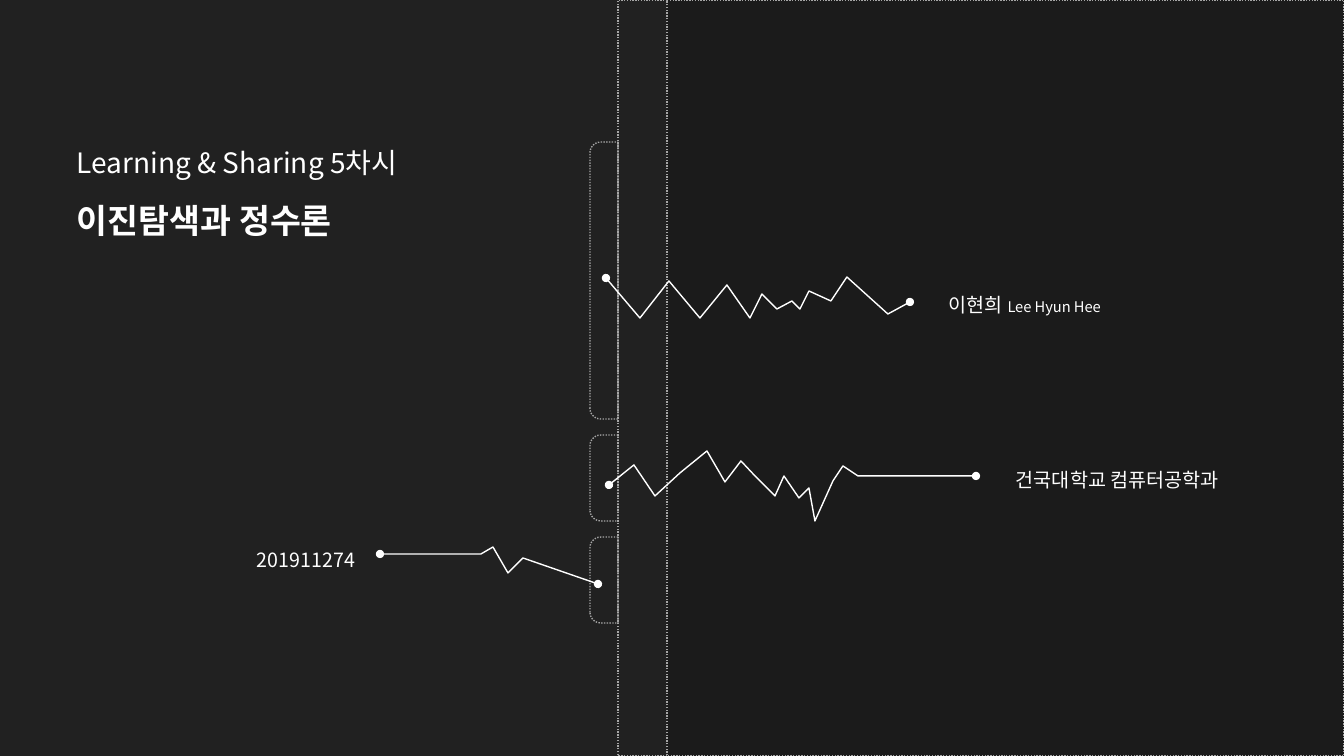
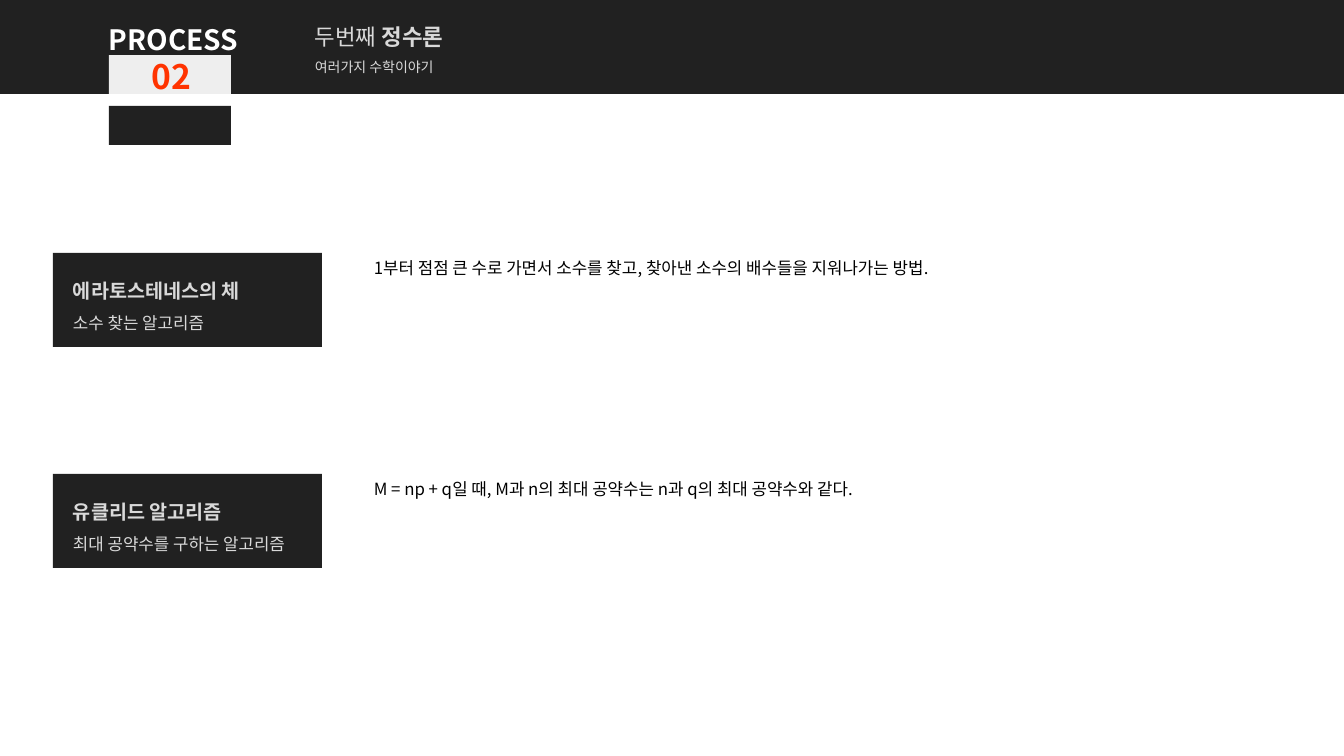
from typing import NamedTuple, Optional

from lxml.etree import SubElement
from pptx import Presentation
from pptx.dml.color import RGBColor
from pptx.enum.dml import MSO_LINE_DASH_STYLE as Dash
from pptx.enum.shapes import MSO_SHAPE as Shape
from pptx.enum.text import MSO_ANCHOR as Anchor
from pptx.enum.text import MSO_AUTO_SIZE as AutoSize
from pptx.enum.text import PP_ALIGN as Align
from pptx.oxml.ns import qn
from pptx.util import Emu, Pt

SLIDE_WIDTH, SLIDE_HEIGHT = 1344, 756
EMU_PER_PX = 12192000 / SLIDE_WIDTH

FONT = "Noto Sans CJK KR"
DARK, DARKER = "212121", "1B1B1B"
WHITE, BLACK = "FFFFFF", "000000"
LIGHT_GRAY, PLATE_GRAY, OUTLINE_GRAY = "D9D9D9", "EEEEEE", "A6A6A6"
ORANGE = "FF3300"


class Box(NamedTuple):
    left: float
    top: float
    width: float
    height: float


class Run(NamedTuple):
    text: str
    size: float
    bold: bool = False


Lines = list[list[Run]]


class Trace(NamedTuple):
    """A zigzag line and the label at its outer end."""
    points: list[tuple[int, int]]
    label_box: Box
    label: list[Run]


class Topic(NamedTuple):
    name: str
    summary: str
    explanation: str


TRACES = [
    Trace(
        [(606, 278), (640, 318), (669, 281), (700, 318), (727, 285),
         (750, 318), (762, 294), (777, 309), (792, 301), (800, 309),
         (809, 291), (831, 301), (847, 277), (888, 314), (910, 302)],
        Box(939, 276, 182, 45),
        [Run("이현희 ", 14), Run("Lee Hyun Hee", 10.5)],
    ),
    Trace(
        [(609, 485), (634, 465), (655, 496), (680, 473), (707, 451),
         (725, 482), (741, 461), (756, 477), (775, 496), (784, 476),
         (799, 498), (809, 488), (815, 521), (833, 481), (843, 466),
         (858, 476), (976, 476)],
        Box(1006, 451, 245, 45),
        [Run("건국대학교 컴퓨터공학과", 14)],
    ),
    Trace(
        [(380, 554), (481, 554), (493, 547), (508, 573), (523, 558),
         (598, 584)],
        Box(247, 531, 119, 41),
        [Run("201911274", 14)],
    ),
]

TOPICS = [
    Topic("에라토스테네스의 체", "소수 찾는 알고리즘",
          "1부터 점점 큰 수로 가면서 소수를 찾고, 찾아낸 소수의 배수들을 "
          "지워나가는 방법."),
    Topic("유클리드 알고리즘", "최대 공약수를 구하는 알고리즘",
          "M = np + q일 때, M과 n의 최대 공약수는 n과 q의 최대 공약수와 같다."),
]


def px(length: float) -> Emu:
    return Emu(round(length * EMU_PER_PX))


def color(hex_code: str) -> RGBColor:
    return RGBColor.from_string(hex_code)


def new_slide(presentation, background: str):
    slide = presentation.slides.add_slide(presentation.slide_layouts[6])
    slide.background.fill.solid()
    slide.background.fill.fore_color.rgb = color(background)
    return slide


def write(frame, lines: Lines, *, ink: str, spacing: Optional[float] = None):
    for index, runs in enumerate(lines):
        paragraph = frame.paragraphs[0] if index == 0 else frame.add_paragraph()
        paragraph.alignment = Align.LEFT
        if spacing:
            paragraph.line_spacing = spacing
        for item in runs:
            run = paragraph.add_run()
            run.text = item.text
            run.font.name = FONT
            run.font.size = Pt(item.size)
            run.font.bold = item.bold
            run.font.color.rgb = color(ink)
            east_asian = SubElement(run.font._element, qn("a:ea"))
            east_asian.set("typeface", FONT)


def add_text(slide, box: Box, lines: Lines, *, ink: str,
             spacing: Optional[float] = None, wrap: bool = False):
    shape = slide.shapes.add_textbox(*map(px, box))
    shape.text_frame.word_wrap = wrap
    shape.text_frame.auto_size = AutoSize.SHAPE_TO_FIT_TEXT
    write(shape.text_frame, lines, ink=ink, spacing=spacing)


def add_block(slide, box: Box, *, fill: Optional[str] = None,
              dotted: bool = False, kind: Shape = Shape.RECTANGLE):
    shape = slide.shapes.add_shape(kind, *map(px, box))
    shape.shadow.inherit = False
    if fill:
        shape.fill.solid()
        shape.fill.fore_color.rgb = color(fill)
    else:
        shape.fill.background()
    if dotted:
        shape.line.color.rgb = color(OUTLINE_GRAY)
        shape.line.width = Pt(1)
        shape.line.dash_style = Dash.ROUND_DOT
    else:
        shape.line.fill.background()
    return shape


def add_side_tab(slide, box: Box):
    """Outline a tab whose rounded corners face left."""
    center_x = box.left + box.width / 2
    center_y = box.top + box.height / 2
    upright = Box(center_x - box.height / 2, center_y - box.width / 2,
                  box.height, box.width)
    tab = add_block(slide, upright, dotted=True,
                    kind=Shape.ROUND_2_SAME_RECTANGLE)
    tab.adjustments[0] = 0.385
    tab.rotation = 270


def add_trace(slide, trace: Trace):
    builder = slide.shapes.build_freeform(*trace.points[0], scale=EMU_PER_PX)
    builder.add_line_segments(trace.points[1:], close=False)
    shape = builder.convert_to_shape()
    shape.shadow.inherit = False
    shape.fill.background()
    shape.line.color.rgb = color(WHITE)
    shape.line.width = Pt(1)
    for end in ("a:headEnd", "a:tailEnd"):
        SubElement(shape.line._get_or_add_ln(), qn(end)).set("type", "oval")
    add_text(slide, trace.label_box, [trace.label], ink=WHITE, spacing=1.5)


def build_cover(presentation):
    slide = new_slide(presentation, DARK)
    title = [[Run("Learning & Sharing 5차시", 20)],
             [Run("이진탐색과 정수론", 24, bold=True)]]
    add_text(slide, Box(67, 124, 433, 122), title, ink=WHITE, spacing=1.5,
             wrap=True)

    spine_left, page_left = 618, 667
    add_block(slide, Box(spine_left, 0, SLIDE_WIDTH - spine_left, SLIDE_HEIGHT),
              fill=DARK, dotted=True)
    tab_top, tab_width, tab_gap = 142, 28, 16
    for tab_height in (277, 86, 86):
        add_side_tab(slide, Box(spine_left - tab_width, tab_top,
                                tab_width, tab_height))
        tab_top += tab_height + tab_gap
    add_block(slide, Box(page_left, 0, SLIDE_WIDTH - page_left, SLIDE_HEIGHT),
              fill=DARKER, dotted=True)

    for trace in TRACES:
        add_trace(slide, trace)


def add_topic(slide, topic: Topic, top: int):
    card = add_block(slide, Box(53, top, 269, 94), fill=DARK)
    frame = card.text_frame
    frame.word_wrap = True
    frame.vertical_anchor = Anchor.MIDDLE
    frame.margin_left = px(20)
    write(frame, [[Run(topic.name, 14, bold=True)], [Run(topic.summary, 12)]],
          ink=LIGHT_GRAY, spacing=1.5)
    add_text(slide, Box(364, top, 881, 30), [[Run(topic.explanation, 12)]],
             ink=BLACK, wrap=True)


def build_number_theory(presentation):
    slide = new_slide(presentation, WHITE)
    add_block(slide, Box(0, 0, SLIDE_WIDTH, 94), fill=DARK)
    heading = [[Run("두번째 ", 16), Run("정수론", 16, bold=True)],
               [Run("여러가지 수학이야기", 10)]]
    add_text(slide, Box(305, 5, 532, 77), heading, ink=LIGHT_GRAY, spacing=1.5,
             wrap=True)
    for plate_top, plate_fill in ((55, PLATE_GRAY), (106, DARK)):
        add_block(slide, Box(109, plate_top, 122, 39), fill=plate_fill)
    add_text(slide, Box(99, 1, 170, 54), [[Run("PROCESS", 20, bold=True)]],
             ink=WHITE, spacing=1.5)
    add_text(slide, Box(142, 51, 60, 50), [[Run("02", 24, bold=True)]],
             ink=ORANGE)

    first_top, topic_step = 253, 221
    for index, topic in enumerate(TOPICS):
        add_topic(slide, topic, first_top + index * topic_step)


def main():
    presentation = Presentation()
    presentation.slide_width = px(SLIDE_WIDTH)
    presentation.slide_height = px(SLIDE_HEIGHT)
    build_cover(presentation)
    build_number_theory(presentation)
    presentation.save("out.pptx")


if __name__ == "__main__":
    main()
